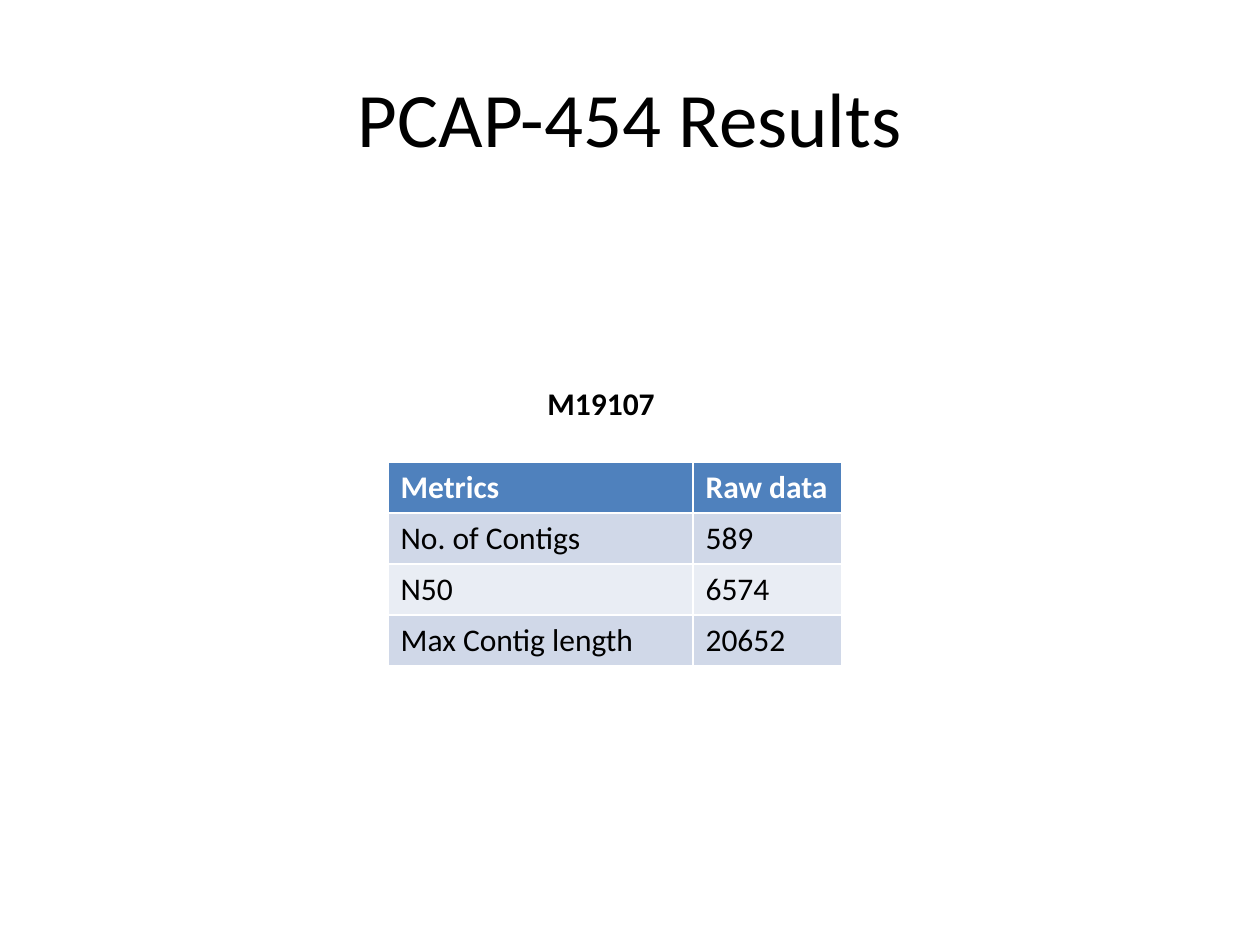
from dataclasses import dataclass

from pptx import Presentation
from pptx.dml.color import RGBColor
from pptx.enum.text import MSO_ANCHOR, PP_ALIGN
from pptx.util import Pt

CENTER = PP_ALIGN.CENTER
LEFT = PP_ALIGN.LEFT
MIDDLE = MSO_ANCHOR.MIDDLE
TOP = MSO_ANCHOR.TOP
EMU_PER_PX = 914400 / 126


@dataclass(frozen=True)
class Theme:
    font: str = "Calibri"
    title_size: int = 44
    body_size: int = 18
    text: str = "000000"
    header_text: str = "FFFFFF"
    header_fill: str = "4F81BD"
    band_fills: tuple = ("D0D8E8", "E9EDF4")


def px(n):
    return round(n * EMU_PER_PX)


class SlideBuilder:
    def __init__(self, prs, theme):
        self.theme = theme
        self.s = prs.slides.add_slide(prs.slide_layouts[6])

    def add_run(self, tf, text, size, color, bold=False, align=LEFT):
        p = tf.paragraphs[0]
        p.alignment = align
        r = p.add_run()
        r.text = text
        fmt = {"name": self.theme.font, "size": Pt(size), "bold": bold}
        for key, value in fmt.items():
            setattr(r.font, key, value)
        r.font.color.rgb = RGBColor.from_string(color)

    def add_text(self, box, text, size, bold=False, align=LEFT, anchor=TOP):
        sp = self.s.shapes.add_textbox(*map(px, box))
        tf = sp.text_frame
        for key, value in {"word_wrap": True, "vertical_anchor": anchor}.items():
            setattr(tf, key, value)
        self.add_run(tf, text, size, self.theme.text, bold, align)

    def add_table(self, left, top, widths, row_height, rows):
        t = self.theme
        box = (left, top, sum(widths), row_height * len(rows))
        table = self.s.shapes.add_table(len(rows), len(widths), *map(px, box)).table
        for col, width in zip(table.columns, widths):
            col.width = px(width)
        for i, values in enumerate(rows):
            table.rows[i].height = px(row_height)
            header = i == 0
            fill = t.header_fill if header else t.band_fills[(i - 1) % 2]
            color = t.header_text if header else t.text
            for j, value in enumerate(values):
                cell = table.cell(i, j)
                cell.fill.solid()
                cell.fill.fore_color.rgb = RGBColor.from_string(fill)
                self.add_run(cell.text_frame, value, t.body_size, color, header)


def main():
    prs = Presentation()
    prs.slide_width, prs.slide_height = px(1260), px(945)
    theme = Theme()
    slide = SlideBuilder(prs, theme)
    slide.add_text((63, 38, 1134, 158), "PCAP-454 Results", theme.title_size,
                   align=CENTER, anchor=MIDDLE)
    slide.add_table(388, 462, (305, 149), 51, [
        ("Metrics", "Raw data"),
        ("No. of Contigs", "589"),
        ("N50", "6574"),
        ("Max Contig length", "20652"),
    ])
    slide.add_text((535, 378, 147, 50), "M19107", theme.body_size, bold=True)
    prs.save("out.pptx")


if __name__ == "__main__":
    main()
